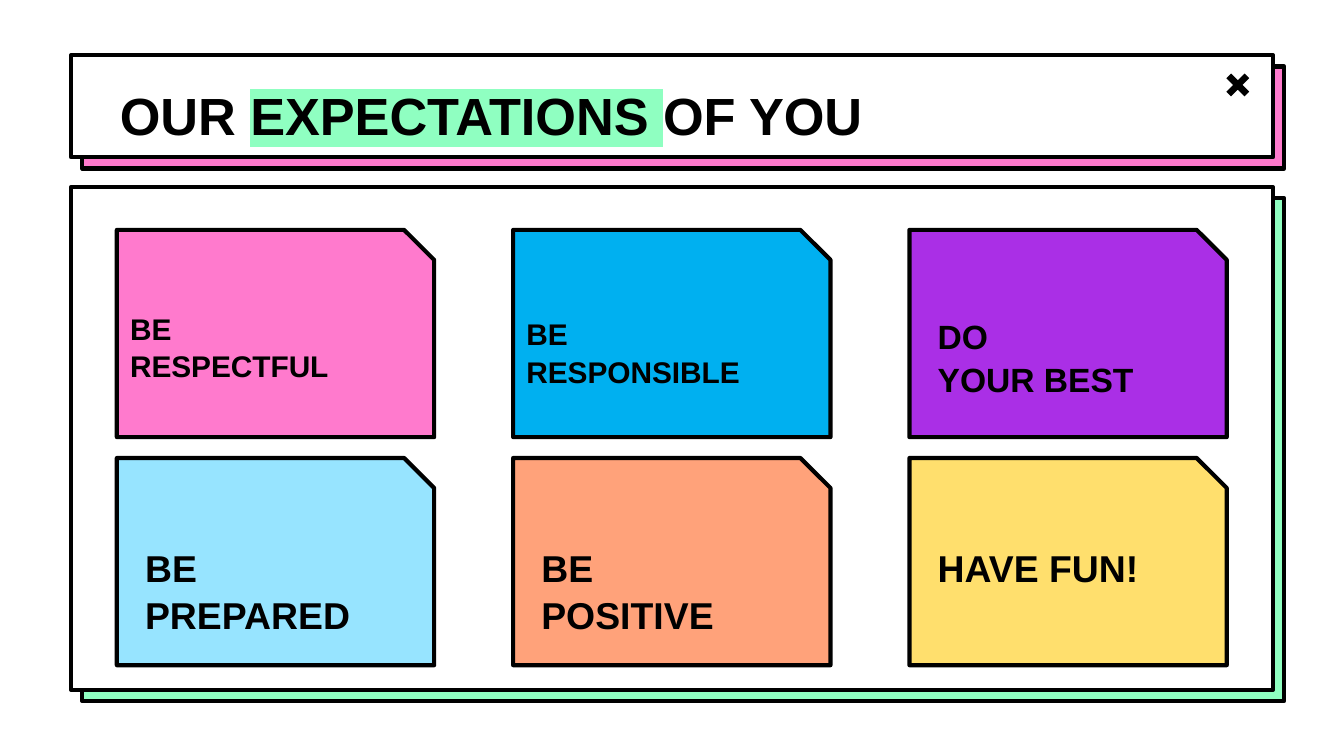
from lxml.etree import Element, SubElement
from pptx import Presentation
from pptx.dml.color import RGBColor as RGB
from pptx.enum.shapes import MSO_SHAPE as Kind
from pptx.enum.text import MSO_ANCHOR as Anchor, MSO_AUTO_SIZE as Fit, PP_ALIGN as Align
from pptx.oxml.ns import qn
from pptx.util import Pt

HUES = {
    "ink": "000000", "paper": "FFFFFF", "pink": "FF7ACD", "mint": "8FFFC1",
    "blue": "00B0F0", "plum": "AA2FE6", "sky": "97E4FF", "peach": "FFA27A",
    "gold": "FFDF6D",
}
TITLE = [("OUR ", None), ("EXPECTATIONS ", "mint"), ("OF YOU", None)]
PANELS = [(29.7, 54.6, "pink"), (100.3, 269.3, "mint")]
CARDS = [
    ("BE\nRESPECTFUL", "pink", 16, 0, 35),
    ("BE\nRESPONSIBLE", "blue", 16, 0, 38),
    ("DO\nYOUR BEST", "plum", 18, 8, 38),
    ("BE\nPREPARED", "sky", 20, 8, 38),
    ("BE\nPOSITIVE", "peach", 20, 8, 38),
    ("HAVE FUN!", "gold", 20, 8, 38),
]
LEFT, WIDE, SHIFT = 38, 644, 6
CARD_X, CARD_Y, CARD_W, CARD_H = 62.6, 123.2, 170, 111
STEP_X, STEP_Y, COLS = 212.3, 122.2, 3


def paint(hue):
    return RGB.from_string(HUES[hue])


def block(slide, kind, box, hue, edge=True):
    shape = slide.shapes.add_shape(kind, *map(Pt, box))
    shape.shadow.inherit = False
    shape.fill.solid()
    shape.fill.fore_color.rgb = paint(hue)
    if edge:
        shape.line.color.rgb = paint("ink")
        shape.line.width = Pt(2.25)
    else:
        shape.line.fill.background()
    return shape


def frame(shape):
    text = shape.text_frame
    text.word_wrap = True
    text.auto_size = Fit.NONE
    text.vertical_anchor = Anchor.TOP
    text.margin_left = text.margin_right = Pt(7.2)
    text.margin_top = text.margin_bottom = Pt(7.2)
    return text


def style(run, size):
    font = run.font
    font.name, font.size, font.bold = "Arial", Pt(size), True
    font.color.rgb = paint("ink")


def mark(run, hue):
    glow = Element(qn("a:highlight"))
    SubElement(glow, qn("a:srgbClr"), val=HUES[hue])
    run.font.fill
    run.font._element.find(qn("a:solidFill")).addnext(glow) if hasattr(run.font, "_element") else \
        run._r.rPr.find(qn("a:solidFill")).addnext(glow)


def head(slide):
    title = slide.shapes.title
    title.left, title.top, title.width, title.height = map(Pt, (57, 37.6, 607, 45))
    line = frame(title).paragraphs[0]
    line.alignment = Align.LEFT
    for words, hue in TITLE:
        run = line.add_run()
        run.text = words
        style(run, 28)
        if hue:
            mark(run, hue)
    title.element.getparent().append(title.element)


def label(slide, words, box, size):
    text = frame(slide.shapes.add_textbox(*map(Pt, box)))
    text.text = words
    for line in text.paragraphs:
        line.line_spacing = 1.05
        for run in line.runs:
            style(run, size)


def main():
    """Build the slide of class expectations."""
    deck = Presentation()
    deck.slide_width, deck.slide_height = Pt(720), Pt(405)
    slide = deck.slides.add_slide(deck.slide_layouts[5])
    for top, tall, hue in PANELS:
        block(slide, Kind.RECTANGLE, (LEFT + SHIFT, top + SHIFT, WIDE, tall), hue)
        block(slide, Kind.RECTANGLE, (LEFT, top, WIDE, tall), "paper")
    cross = block(slide, Kind.MATH_MULTIPLY, (653.8, 36.2, 18.7, 18.7), "ink", False)
    cross.adjustments[0] = 0.19
    for i, (words, hue, size, dx, dy) in enumerate(CARDS):
        row, col = divmod(i, COLS)
        x, y = CARD_X + col * STEP_X, CARD_Y + row * STEP_Y
        card = block(slide, Kind.SNIP_1_RECTANGLE, (x, y, CARD_W, CARD_H), hue)
        card.adjustments[0] = 0.145
        label(slide, words, (x + dx, y + dy, CARD_W - dx, 37.5), size)
    head(slide)
    deck.save("out.pptx")


if __name__ == "__main__":
    main()
